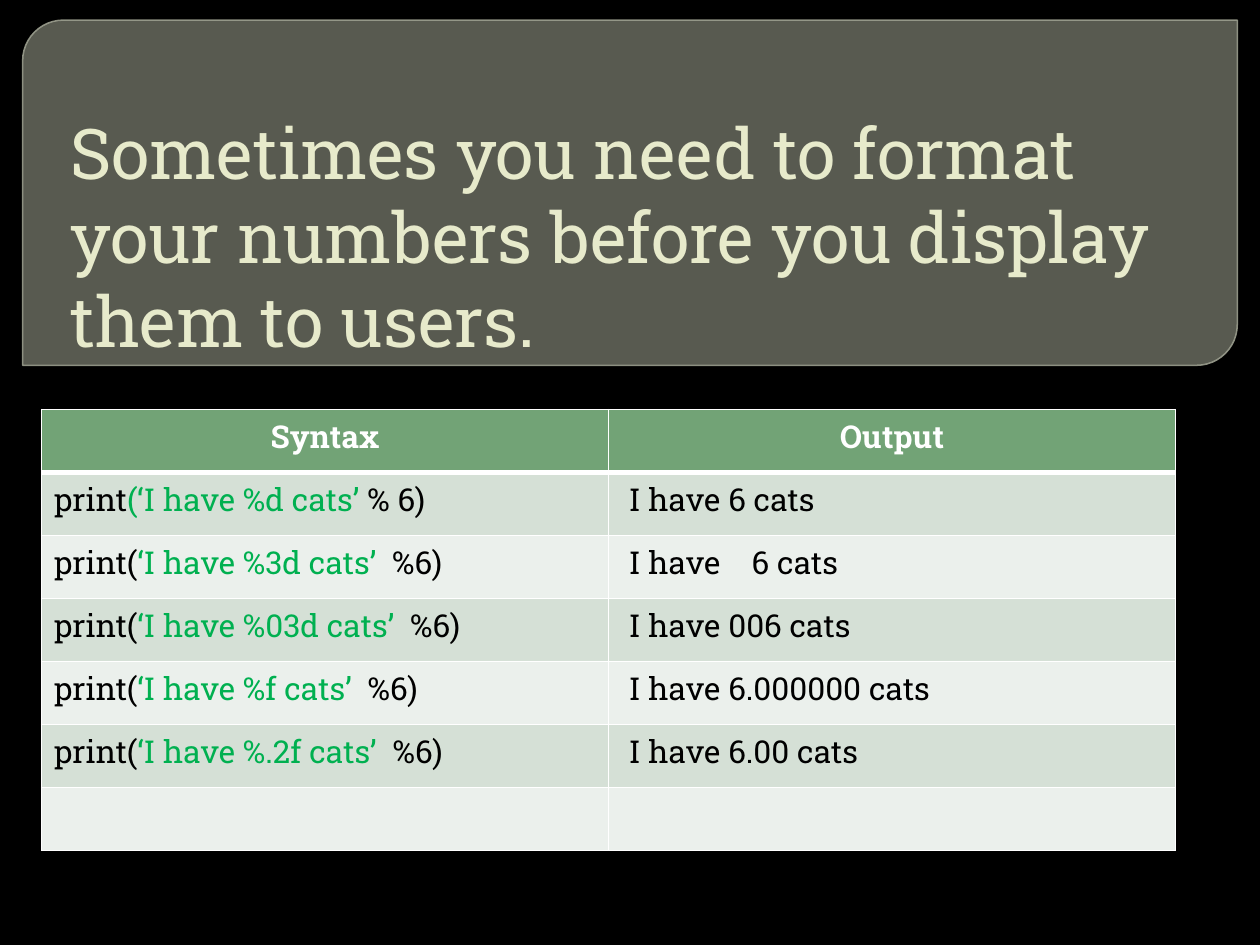
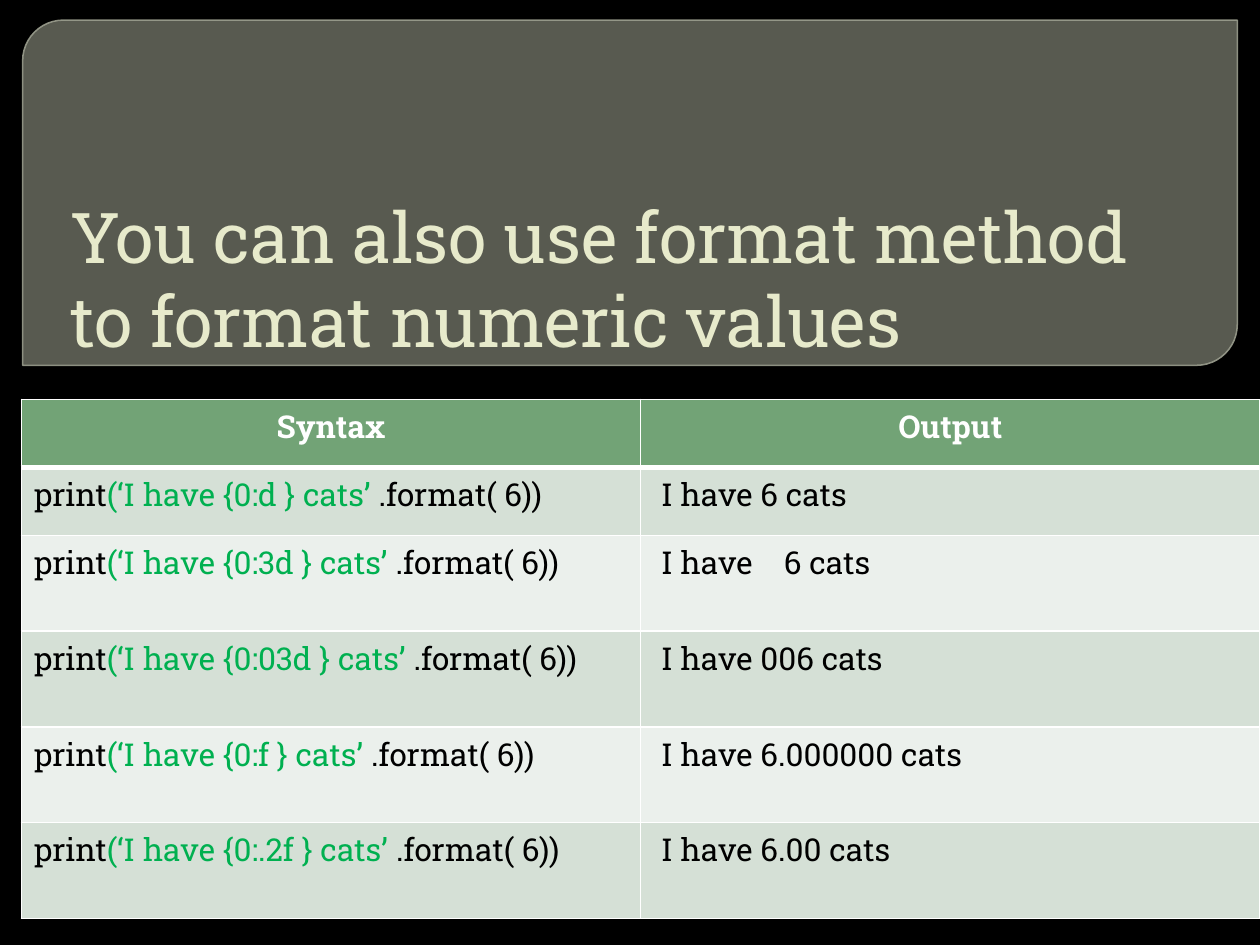
import pptx
import pptx.util
import pptx.dml.color
import pptx.enum.shapes
import pptx.enum.text
import pptx.oxml
import pptx.oxml.ns
import lxml.etree

FONT = "Roboto Slab"
WIDE, HIGH = 10, 7.5
HUES = {
    "back": "000000", "band": "888B7B", "edge": "9DA090", "title": "E7EACB",
    "head": "72A376", "odd": "D5E0D6", "even": "EBF0EC",
    "rule": "FFFFFF", "code": "000000", "quote": "00B050",
}
BAND = (0.18, 0.16, 9.64, 2.74)
TITLE = (0.51, 0.42, 9, 2.5)
HEADS = ("Syntax", "Output")
RESULTS = (" I have 6 cats", " I have    6 cats", " I have 006 cats",
           " I have 6.000000 cats", " I have 6.00 cats")
SPECS = ("d", "3d", "03d", "f", ".2f")


def hue(name):
    """Return the named colour."""
    return pptx.dml.color.RGBColor.from_string(HUES[name])


def place(box):
    """Turn a box in inches into lengths."""
    return [pptx.util.Inches(side) for side in box]


def style(run, size, name, bold=False):
    """Format one run."""
    run.font.name, run.font.size = FONT, pptx.util.Pt(size)
    run.font.bold, run.font.color.rgb = bold, hue(name)


def fade(fill, share):
    """Make a solid fill partly opaque."""
    tint = fill._xPr.find(pptx.oxml.ns.qn("a:solidFill"))[0]
    alpha = lxml.etree.SubElement(tint, pptx.oxml.ns.qn("a:alpha"))
    alpha.set("val", str(share * 1000))


def add_band(slide, box):
    """Draw the rounded band behind the title."""
    kind = pptx.enum.shapes.MSO_SHAPE.ROUND_2_DIAG_RECTANGLE
    band = slide.shapes.add_shape(kind, *place(box))
    band.adjustments[0], band.adjustments[1] = 0.118, 0
    band.shadow.inherit = False
    band.fill.solid()
    band.fill.fore_color.rgb = hue("band")
    fade(band.fill, 65)
    band.line.color.rgb = hue("edge")
    band.line.width = pptx.util.Pt(0.87)
    fade(band.line.fill, 88)
    slide.shapes._spTree.insert(2, band._element)


def set_title(slide, box, text):
    """Place and format the title."""
    title = slide.shapes.title
    title.left, title.top, title.width, title.height = place(box)
    frame = title.text_frame
    frame.text = text
    frame.word_wrap = True
    frame.auto_size = pptx.enum.text.MSO_AUTO_SIZE.NONE
    frame.vertical_anchor = pptx.enum.text.MSO_ANCHOR.BOTTOM
    frame.margin_left = frame.margin_top = frame.margin_bottom = pptx.util.Inches(0.05)
    frame.margin_right = pptx.util.Inches(0.25)
    line = frame.paragraphs[0]
    line.alignment = pptx.enum.text.PP_ALIGN.LEFT
    style(line.runs[0], 40, "title")


def edge_cell(cell, top, foot):
    """Draw the four borders of a cell."""
    props = cell._tc.get_or_add_tcPr()
    for side, width in (("L", 1), ("R", 1), ("T", top), ("B", foot)):
        props.append(pptx.oxml.parse_xml(
            f'<a:ln{side} {pptx.oxml.ns.nsdecls("a")} w="{pptx.util.Pt(width)}">'
            f'<a:solidFill><a:srgbClr val="{HUES["rule"]}"/></a:solidFill>'
            f'</a:ln{side}>'))


def fill_cell(cell, row, parts):
    """Fill a cell with coloured pieces of text."""
    edge_cell(cell, 3 if row == 1 else 1, 3 if row == 0 else 1)
    cell.fill.solid()
    cell.fill.fore_color.rgb = hue("head" if row == 0 else "odd" if row % 2 else "even")
    line = cell.text_frame.paragraphs[0]
    if row == 0:
        line.alignment = pptx.enum.text.PP_ALIGN.CENTER
    for text, name in parts:
        run = line.add_run()
        run.text = text
        style(run, 18, name, row == 0)


def add_grid(slide, box, rows, highs):
    """Draw the table of syntax and output."""
    grid = slide.shapes.add_table(len(highs), len(HEADS), *place(box)).table
    for col in grid.columns:
        col.width = pptx.util.Inches(box[2] / len(HEADS))
    for row, high in enumerate(highs):
        grid.rows[row].height = pptx.util.Inches(high)
        cells = rows[row] if row < len(rows) else [()] * len(HEADS)
        for col, parts in enumerate(cells):
            fill_cell(grid.cell(row, col), row, parts)


def make_rows(codes):
    """Pair the heads, then each code with its result."""
    rows = [[[(head, "rule")] for head in HEADS]]
    for code, result in zip(codes, RESULTS):
        parts = list(zip(code, ("code", "quote", "code")))
        rows.append([parts, [(result, "code")]])
    return rows


def add_page(deck, text, box, codes, highs):
    """Build one slide with a band, a title and a table."""
    slide = deck.slides.add_slide(deck.slide_layouts[0])
    slide.background.fill.solid()
    slide.background.fill.fore_color.rgb = hue("back")
    spare = slide.placeholders[1]._element
    spare.getparent().remove(spare)
    add_band(slide, BAND)
    set_title(slide, TITLE, text)
    add_grid(slide, box, make_rows(codes), highs)


def main():
    """Build and save the deck."""
    deck = pptx.Presentation()
    deck.slide_width, deck.slide_height = place((WIDE, HIGH))
    signs = [("print(", f"‘I have %{spec} cats’  ", "%6)") for spec in SPECS]
    signs[0] = ("print", "(‘I have %d cats’ ", "% 6)")
    calls = [("print", f"(‘I have {{0:{spec} }} cats’ ", ".format( 6))") for spec in SPECS]
    add_page(deck, "Sometimes you need to format your numbers before you display them to users.",
             (0.33, 3.25, 9, 3.5), signs, [0.5] * 7)
    add_page(deck, "You can also use format method to format numeric values",
             (0.17, 3.17, 9.83, 4.08), calls, [0.54] * 2 + [0.76] * 4)
    deck.save("out.pptx")


if __name__ == "__main__":
    main()
